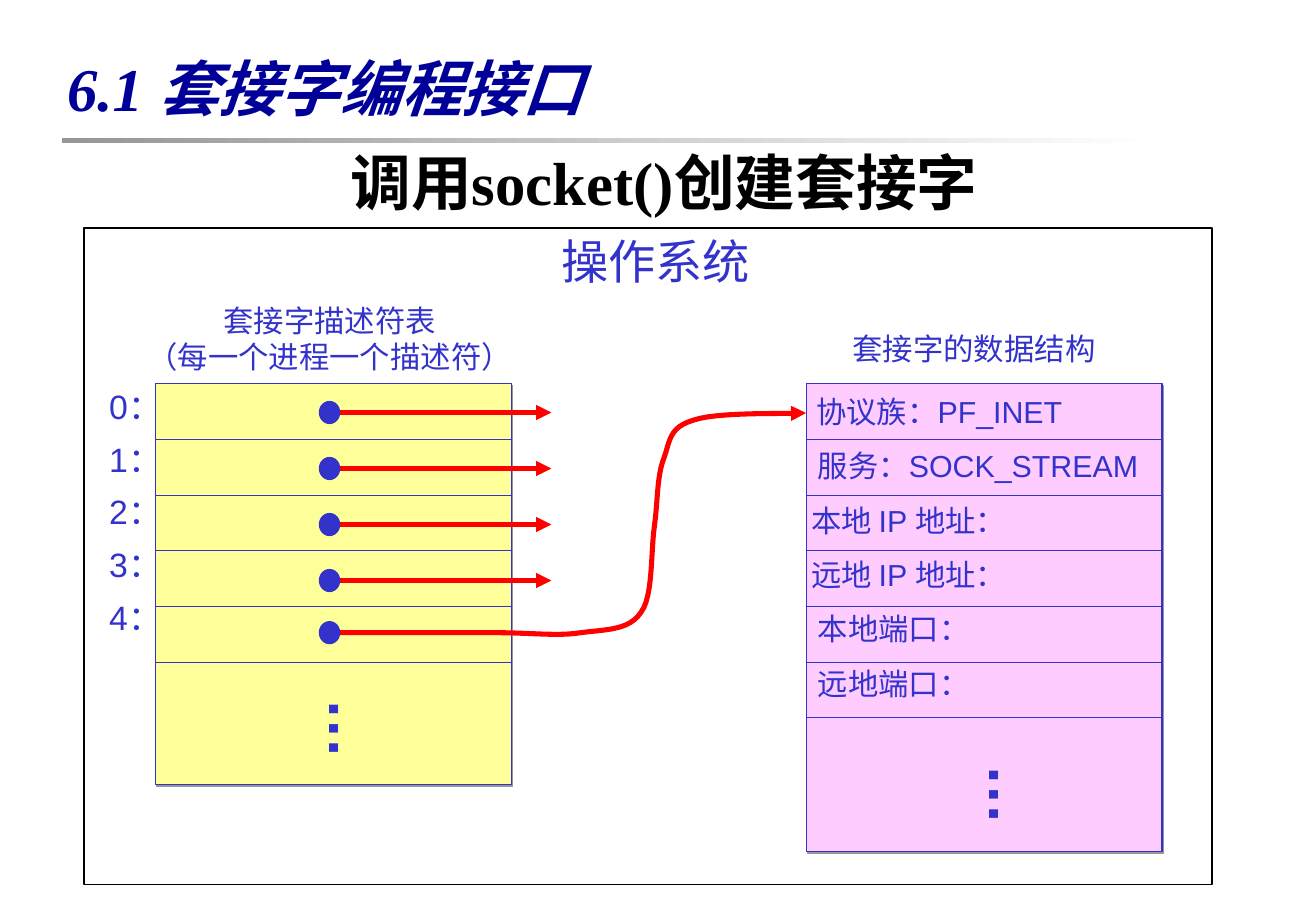
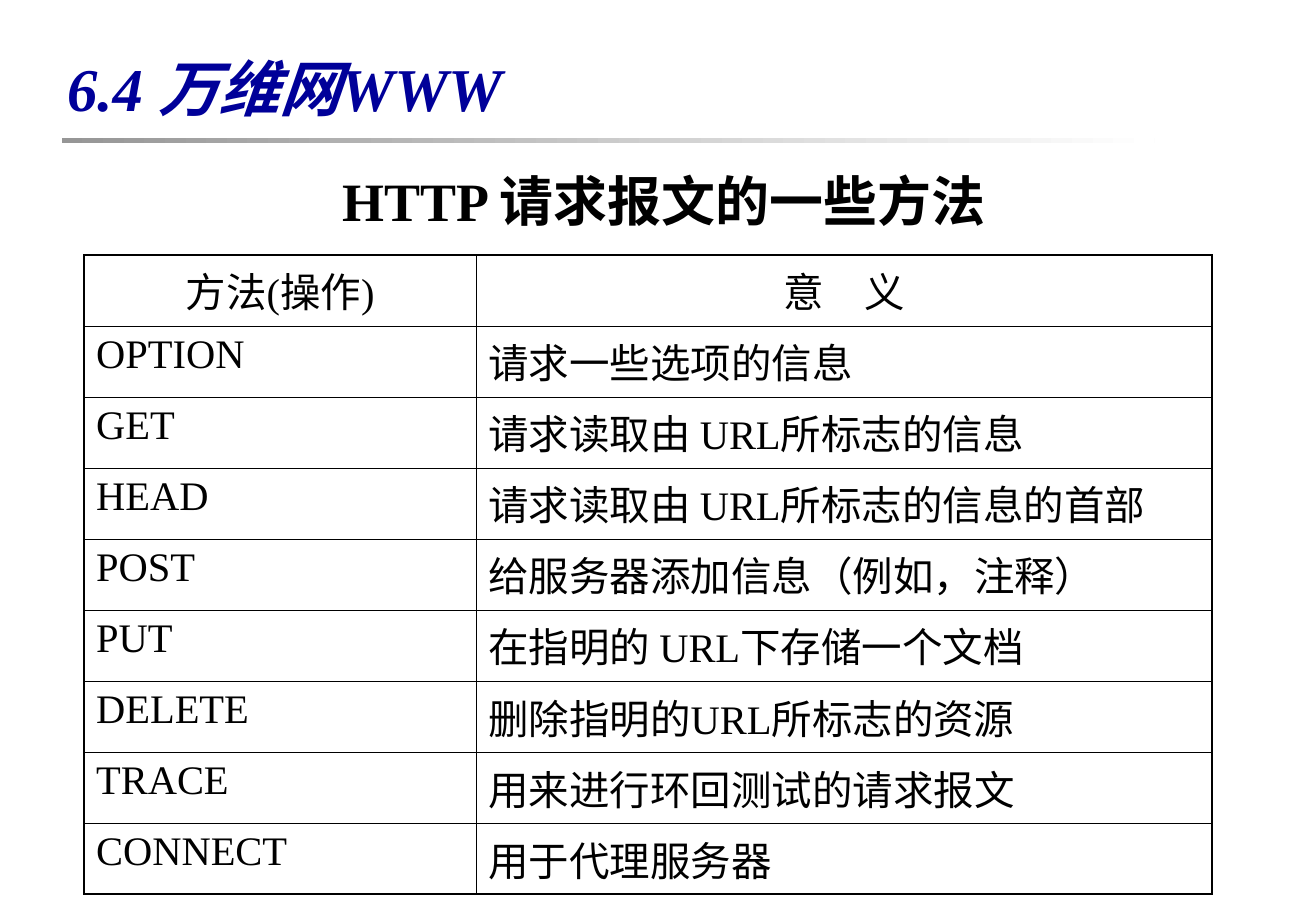
import pptx
import pptx.dml.color
import pptx.enum.shapes
import pptx.enum.text
import pptx.oxml
import pptx.oxml.ns
import pptx.util
from lxml import etree

Pt = pptx.util.Pt
qn = pptx.oxml.ns.qn
SHAPE = pptx.enum.shapes.MSO_SHAPE
ALIGN = pptx.enum.text.PP_ALIGN
ANCHOR = pptx.enum.text.MSO_ANCHOR

COLORS = {
    "title": "000099", "black": "000000", "white": "FFFFFF", "gray": "969696",
    "blue": "3333CC", "red": "FF0000", "yellow": "FFFF99", "pink": "FFCCFF",
}
SERIF, SANS = "Times New Roman", "Arial"

FRAME_LEFT, FRAME_WIDTH = 49.8, 668.9
BOX_TOP, BOX_WIDTH, ROW_PITCH = 227.5, 211, 33
DOT_X, DOT_TOP_Y, DOT_PITCH, ARROW_END_X = 195.4, 244.5, 33.2, 327
LABEL_SPACING = 1.2

SOCKET_FIELDS = [
    ("协议族：PF_INET", 484), ("服务：SOCK_STREAM", 485),
    ("本地 IP 地址：", 481), ("远地 IP 地址：", 481),
    ("本地端口：", 485), ("远地端口：", 485),
]
POINTER_START = (194.4, 375)
POINTER_BEND = (290.9, 375)
POINTER_CURVES = [
    ((316.1, 375), (329.8, 377.3), (344.9, 375)),
    ((360, 373), (373, 373.7), (380.2, 362.9)),
    ((387.4, 353.5), (385.9, 326.9), (388.1, 311.8)),
    ((390.2, 296.6), (389.5, 282.2), (393.8, 271.4)),
    ((397.4, 261.4), (396.7, 253.4), (411.1, 249.1)),
    ((424.8, 244.1), (464.4, 245.5), (478.1, 244.8)),
]
METHOD_ROWS = [
    ("方法(操作)", "意　义"),
    ("OPTION", "请求一些选项的信息"),
    ("GET", "请求读取由 URL所标志的信息"),
    ("HEAD", "请求读取由 URL所标志的信息的首部"),
    ("POST", "给服务器添加信息（例如，注释）"),
    ("PUT", "在指明的 URL下存储一个文档"),
    ("DELETE", "删除指明的URL所标志的资源"),
    ("TRACE", "用来进行环回测试的请求报文"),
    ("CONNECT", "用于代理服务器"),
]


def rgb(name):
    """Return the named colour."""
    return pptx.dml.color.RGBColor.from_string(COLORS[name])


def style(p, size, font, color, align=ALIGN.LEFT, bold=False, italic=False):
    """Format a whole paragraph."""
    p.alignment = align
    p.font.size = Pt(size)
    p.font.name = font
    p.font.color.rgb = rgb(color)
    p.font.bold = bold
    p.font.italic = italic


def set_line(shape, color, width, arrow=False):
    """Set the outline, with an optional arrowhead at its end."""
    shape.line.color.rgb = rgb(color)
    shape.line.width = Pt(width)
    if arrow:
        ln = shape.element.spPr.find(qn("a:ln"))
        etree.SubElement(ln, qn("a:tailEnd"), type="triangle")


def add_block(s, preset, left, top, width, height, fill=None, line=None):
    """Add a preset shape with a flat fill and a thin outline."""
    shape = s.shapes.add_shape(preset, Pt(left), Pt(top), Pt(width), Pt(height))
    shape.shadow.inherit = False
    if fill:
        shape.fill.solid()
        shape.fill.fore_color.rgb = rgb(fill)
    else:
        shape.fill.background()
    if line:
        set_line(shape, line, 0.75)
    else:
        shape.line.fill.background()
    return shape


def add_line(s, x1, y1, x2, y2, color, width, arrow=False):
    """Add a straight connector without a shadow."""
    line = s.shapes.add_connector(
        pptx.enum.shapes.MSO_CONNECTOR.STRAIGHT, Pt(x1), Pt(y1), Pt(x2), Pt(y2))
    set_line(line, color, width, arrow)
    etree.SubElement(line.element.spPr, qn("a:effectLst"))


def add_label(s, lines, left, middle, width, size, align=ALIGN.LEFT,
              spacing=LABEL_SPACING, bold=False):
    """Add blue diagram text centred vertically on a given height."""
    pitch = size * spacing
    height = pitch * len(lines)
    box = s.shapes.add_textbox(Pt(left), Pt(middle - height / 2), Pt(width), Pt(height))
    tf = box.text_frame
    tf.word_wrap = True
    tf.vertical_anchor = ANCHOR.MIDDLE
    tf.margin_left = tf.margin_right = tf.margin_top = tf.margin_bottom = 0
    tf.text = "\n".join(lines)
    for p in tf.paragraphs:
        style(p, size, SANS, "blue", align, bold)
        p.line_spacing = Pt(pitch)
    return box


def add_caption(s, lines, center, middle, size):
    """Add a label centred on a point."""
    add_label(s, lines, center - 130, middle, 260, size, ALIGN.CENTER)


def add_ellipsis(s, center, middle):
    """Add three dots that run downwards."""
    box = add_label(s, ["…"], center - 25, middle, 50, 36, ALIGN.CENTER, bold=True)
    box.rotation = 90


def add_record(s, left, height, fill, rows):
    """Add a shadowed box split by equally spaced dividers."""
    box = add_block(s, SHAPE.RECTANGLE, left, BOX_TOP, BOX_WIDTH, height, fill, "blue")
    effects = box.element.spPr.find(qn("a:effectLst"))
    shadow = etree.SubElement(effects, qn("a:outerShdw"), dist=str(Pt(1.4)),
                              dir="2700000", algn="ctr", rotWithShape="0")
    etree.SubElement(shadow, qn("a:srgbClr"), val=COLORS["gray"])
    for i in range(1, rows + 1):
        y = BOX_TOP + i * ROW_PITCH
        add_line(s, left, y, left + BOX_WIDTH, y, "blue", 0.75)


def add_dot(s, y):
    """Add the round start of a pointer."""
    add_block(s, SHAPE.OVAL, DOT_X - 6, y - 6.5, 12, 13, "blue", "blue")


def bezier_points(start, curve, steps=12):
    """Return points along one cubic curve."""
    def at(t, axis):
        """Return one coordinate at parameter t."""
        a, b, c, d = (point[axis] for point in (start, *curve))
        u = 1 - t
        return u**3 * a + 3 * u * u * t * b + 3 * u * t * t * c + t**3 * d
    return [(at(i / steps, 0), at(i / steps, 1)) for i in range(1, steps + 1)]


def add_curved_pointer(s):
    """Add the curved arrow from the table to the data structure."""
    points = [POINTER_BEND]
    for curve in POINTER_CURVES:
        points += bezier_points(points[-1], curve)
    builder = s.shapes.build_freeform(*map(Pt, POINTER_START), scale=1.0)
    builder.add_line_segments([(Pt(x), Pt(y)) for x, y in points], close=False)
    pointer = builder.convert_to_shape()
    pointer.shadow.inherit = False
    pointer.fill.background()
    set_line(pointer, "red", 3, arrow=True)


def add_titled_slide(prs, title):
    """Add a slide with the shared title and fading rule."""
    s = prs.slides.add_slide(prs.slide_layouts[5])
    rule = add_block(s, SHAPE.RECTANGLE, 36.7, 82.1, 648, 2.7)
    rule.fill.gradient()
    rule.fill.gradient_angle = 0
    for stop, color in zip(rule.fill.gradient_stops, ("gray", "white")):
        stop.color.rgb = rgb(color)
    sp = s.shapes.title
    sp.left, sp.top, sp.width, sp.height = Pt(32.6), Pt(20.2), Pt(708.5), Pt(62.6)
    tf = sp.text_frame
    tf.text = title
    tf.vertical_anchor = ANCHOR.MIDDLE
    tf.auto_size = pptx.enum.text.MSO_AUTO_SIZE.NONE
    style(tf.paragraphs[0], 36, SERIF, "title", bold=True, italic=True)
    return s


def add_heading(s, text, top, size):
    """Add the bold centred heading below the rule."""
    box = s.shapes.add_textbox(Pt(38.5), Pt(top), Pt(710.6), Pt(62))
    tf = box.text_frame
    tf.word_wrap = True
    tf.text = text
    style(tf.paragraphs[0], size, SERIF, "black", ALIGN.CENTER, bold=True)


def set_borders(cell, widths):
    """Draw the left, right, top and bottom borders of a cell."""
    props = cell._tc.get_or_add_tcPr()
    for side, width in zip("LRTB", widths):
        ln = etree.SubElement(props, qn("a:ln" + side), w=str(Pt(width)))
        fill = etree.SubElement(ln, qn("a:solidFill"))
        etree.SubElement(fill, qn("a:srgbClr"), val=COLORS["black"])


def add_grid(s, rows, top, col_widths, row_height):
    """Add a plain ruled table with a heavier outer border."""
    last_row, last_col = len(rows) - 1, len(col_widths) - 1
    table = s.shapes.add_table(
        len(rows), len(col_widths), Pt(FRAME_LEFT), Pt(top),
        Pt(sum(col_widths)), Pt(row_height * len(rows))).table
    table.first_row = table.horz_banding = False
    for column, width in zip(table.columns, col_widths):
        column.width = Pt(width)
    for i, row in enumerate(rows):
        table.rows[i].height = Pt(row_height)
        for j, text in enumerate(row):
            cell = table.cell(i, j)
            cell.text = text
            align = ALIGN.LEFT if i else ALIGN.CENTER
            style(cell.text_frame.paragraphs[0], 24, SERIF, "black", align)
            outer = (j == 0, j == last_col, i == 0, i == last_row)
            set_borders(cell, [1.08 if edge else 0.45 for edge in outer])
            cell.fill.background()


def build_socket_slide(prs):
    """Build the diagram of the descriptor table and socket structure."""
    s = add_titled_slide(prs, "6.1 套接字编程接口")
    add_heading(s, "调用socket()创建套接字", 82.4, 36)
    add_block(s, SHAPE.RECTANGLE, FRAME_LEFT, 135.2, FRAME_WIDTH, 389, line="black")
    add_caption(s, ["操作系统"], 388.7, 154.4, 28)
    add_caption(s, ["套接字描述符表", "（每一个进程一个描述符）"], 195.5, 200.6, 18)
    add_caption(s, ["套接字的数据结构"], 577.6, 206.4, 18)

    add_record(s, 92.2, 237.6, "yellow", 5)
    add_label(s, [f"{i}：" for i in range(5)], 64.8, 299.5, 50, 20, spacing=1.56)
    add_ellipsis(s, 210, 432.2)
    for i in range(4):
        y = DOT_TOP_Y + i * DOT_PITCH
        add_line(s, DOT_X, y, ARROW_END_X, y, "red", 3, arrow=True)
        add_dot(s, y)

    add_record(s, 478.1, 277.2, "pink", 6)
    for i, (text, left) in enumerate(SOCKET_FIELDS):
        add_label(s, [text], left, 243.7 + i * 32.25, 205, 18)
    add_ellipsis(s, 601, 471.2)
    add_curved_pointer(s)
    add_dot(s, POINTER_START[1])


def build_methods_slide(prs):
    """Build the table of request methods."""
    s = add_titled_slide(prs, "6.4 万维网WWW")
    add_heading(s, "HTTP 请求报文的一些方法", 95.5, 32)
    add_grid(s, METHOD_ROWS, 151.1, (232.6, 436.3), 42.1)


def main():
    """Build and save the presentation."""
    prs = pptx.Presentation()
    prs.slide_width, prs.slide_height = Pt(780.38), Pt(540)
    build_socket_slide(prs)
    build_methods_slide(prs)
    prs.save("out.pptx")


if __name__ == "__main__":
    main()
